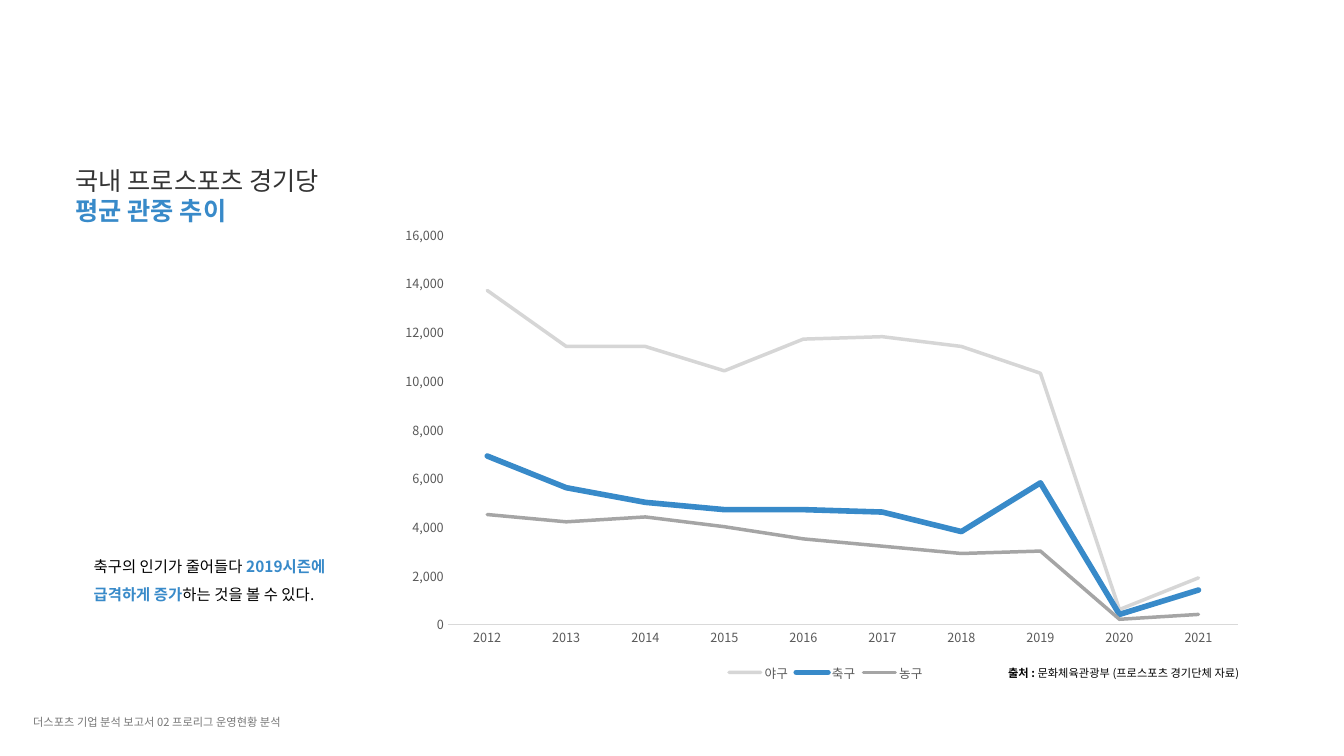
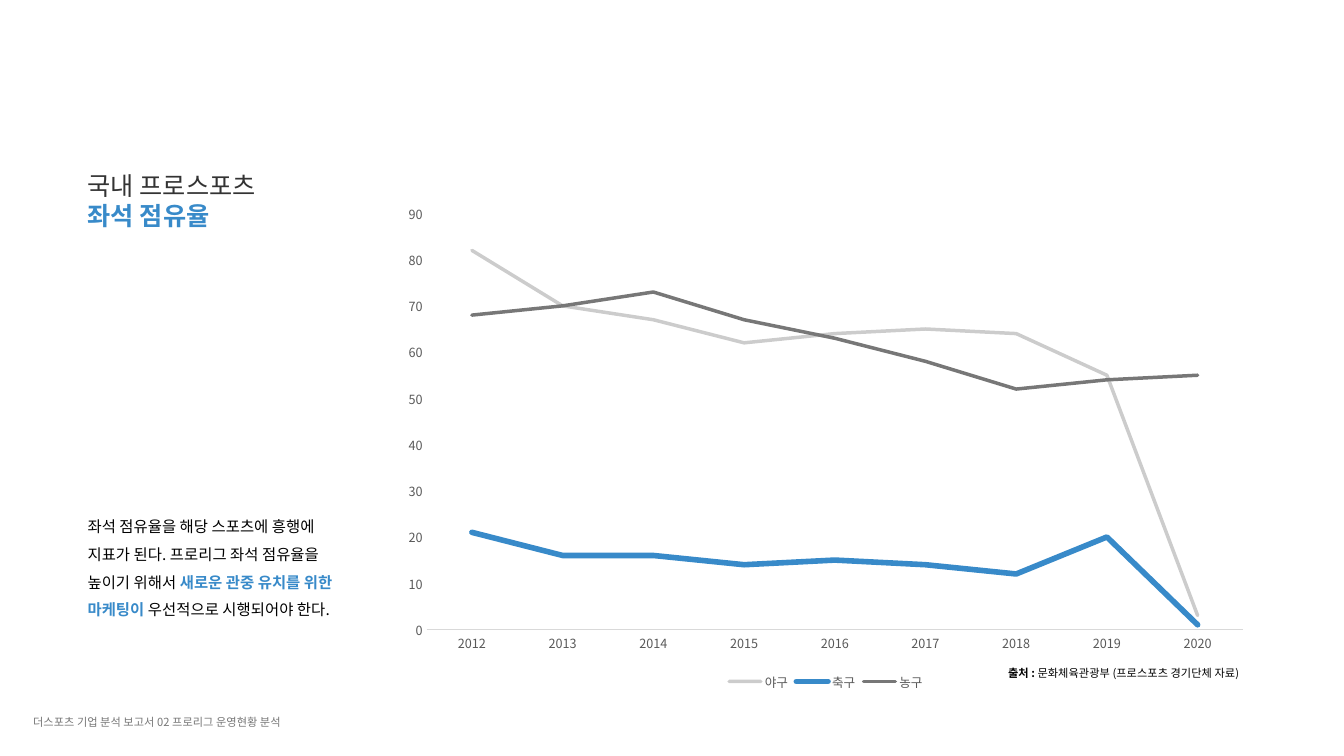
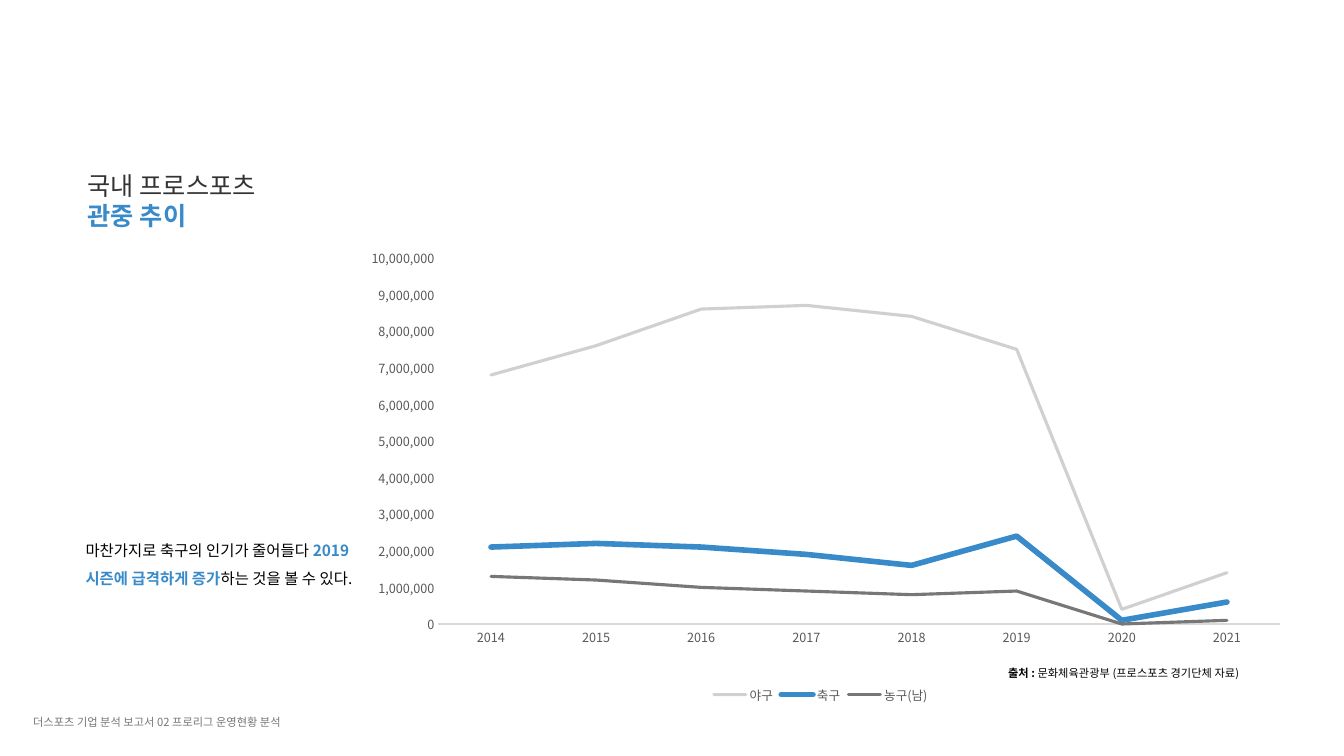
from dataclasses import dataclass

from lxml import etree
from pptx import Presentation
from pptx import util as u
from pptx.chart import data
from pptx.dml.color import RGBColor
from pptx.enum import chart as ch, text
from pptx.oxml import ns


@dataclass(frozen=True)
class Theme:
    heading_font: str = "Arial"
    body_font: str = "Noto Sans CJK KR"
    footer_font: str = "Noto Sans CJK JP"
    accent: str = "388AC9"
    heading: str = "333333"
    ink: str = "000000"
    muted: str = "777777"
    axis_text: str = "595959"
    axis_line: str = "D9D9D9"
    heading_size: float = 18
    body_size: float = 11
    axis_size: float = 9
    small_size: float = 8
    accent_width: float = 4


THEME = Theme()
LEFT, JUSTIFY = text.PP_ALIGN.LEFT, text.PP_ALIGN.JUSTIFY


def add_text(paragraph, words, *, font=THEME.body_font, size=THEME.body_size,
             color=THEME.ink, bold=False):
    """Append one formatted run to a paragraph."""
    run = paragraph.add_run()
    run.text = words
    run.font.name = font
    run.font.size = u.Pt(size)
    run.font.bold = bold
    run.font.color.rgb = RGBColor.from_string(color)


def format_font(font, size, color):
    font.name = THEME.body_font
    font.size = u.Pt(size)
    font.color.rgb = RGBColor.from_string(color)


class Deck:
    """The current slide and its elements; boxes are percent shares of the slide."""

    def __init__(self):
        self.presentation = Presentation()
        self.presentation.slide_width = u.Inches(13.33)
        self.presentation.slide_height = u.Inches(7.5)
        self.slide = None

    def box(self, left, top, width, height):
        across = self.presentation.slide_width / 100
        down = self.presentation.slide_height / 100
        return [int(n) for n in (left * across, top * down, width * across, height * down)]

    def new_slide(self):
        self.slide = self.presentation.slides.add_slide(self.presentation.slide_layouts[5])

    def title(self, left, top, first_line, second_line):
        shape = self.slide.shapes.title
        shape.left, shape.top, shape.width, shape.height = self.box(left, top, 50, 9.47)
        frame = shape.text_frame
        frame.auto_size = text.MSO_AUTO_SIZE.NONE
        frame.vertical_anchor = text.MSO_ANCHOR.TOP
        lines = ((first_line, THEME.heading, False), (second_line, THEME.accent, True))
        for paragraph, (words, color, bold) in zip(
                (frame.paragraphs[0], frame.add_paragraph()), lines):
            paragraph.alignment = LEFT
            add_text(paragraph, words, font=THEME.heading_font,
                     size=THEME.heading_size, color=color, bold=bold)

    def text_box(self, box, runs, alignment=LEFT, spacing=1.0):
        """Each run is its words and a dict of format keywords."""
        frame = self.slide.shapes.add_textbox(*self.box(*box)).text_frame
        frame.word_wrap = True
        paragraph = frame.paragraphs[0]
        paragraph.alignment = alignment
        paragraph.line_spacing = spacing
        for words, style in runs:
            add_text(paragraph, words, **style)

    def comment(self, left, top, height, before, strong, after):
        self.text_box((left, top, 21.46, height),
                      [(before, {}), (strong, {"color": THEME.accent, "bold": True}),
                       (after, {})], spacing=1.5)

    def source_and_footer(self):
        small = {"size": THEME.small_size}
        self.text_box((74.27, 87.47, 20.11, 3.2),
                      [("출처 : ", {**small, "bold": True}),
                       ("문화체육관광부 (프로스포츠 경기단체 자료)", small)], JUSTIFY)
        self.text_box((1.73, 94, 51.76, 3.2),
                      [("더스포츠 기업 분석 보고서 02 프로리그 운영현황 분석",
                        {**small, "font": THEME.footer_font, "color": THEME.muted})])

    def line_chart(self, box, years, series, colors, width, alpha, top_value, step,
                   number_format="General", plot_area=None):
        chart_data = data.CategoryChartData(number_format=number_format)
        chart_data.categories = [str(year) for year in years]
        for name, values in series.items():
            chart_data.add_series(name, values)
        chart = self.slide.shapes.add_chart(
            ch.XL_CHART_TYPE.LINE, *self.box(*box), chart_data).chart
        chart.has_title = False
        format_font(chart.font, 10, THEME.ink)

        # Legend
        chart.has_legend = True
        chart.legend.position = ch.XL_LEGEND_POSITION.BOTTOM
        chart.legend.include_in_layout = False
        format_font(chart.legend.font, THEME.axis_size, THEME.axis_text)

        # Axes
        values_axis, years_axis = chart.value_axis, chart.category_axis
        for axis in (values_axis, years_axis):
            axis.has_major_gridlines = False
            axis.major_tick_mark = axis.minor_tick_mark = ch.XL_TICK_MARK.NONE
            format_font(axis.tick_labels.font, THEME.axis_size, THEME.axis_text)
        values_axis.minimum_scale, values_axis.maximum_scale = 0, top_value
        values_axis.major_unit = step
        values_axis.tick_labels.number_format = number_format
        values_axis.tick_labels.number_format_is_linked = False
        values_axis.format.line.fill.background()
        years_axis.format.line.width = u.Pt(0.75)
        years_axis.format.line.color.rgb = RGBColor.from_string(THEME.axis_line)

        # Series lines, the first one see-through
        chart.plots[0].vary_by_categories = False
        for line, color in zip(chart.plots[0].series, colors):
            line.smooth = False
            line.format.line.color.rgb = RGBColor.from_string(color)
            line.format.line.width = u.Pt(THEME.accent_width if color == THEME.accent else width)
        outlines = [element.find(ns.qn("c:spPr")).find(ns.qn("a:ln"))
                    for element in chart.element.iter(ns.qn("c:ser"))]
        for outline in outlines:
            outline.set("cap", "rnd")
        first_color = next(outlines[0].iter(ns.qn("a:srgbClr")))
        etree.SubElement(first_color, ns.qn("a:alpha"), val=str(alpha * 1000))
        if plot_area:
            self.place_plot(chart, plot_area)

    @staticmethod
    def place_plot(chart, shares):
        """Fix the inner plot area as shares of the chart."""
        area = next(chart.element.iter(ns.qn("c:plotArea")))
        layout = area.find(ns.qn("c:layout"))
        if layout is None:
            layout = etree.Element(ns.qn("c:layout"))
            area.insert(0, layout)
        manual = etree.SubElement(layout, ns.qn("c:manualLayout"))
        settings = [("layoutTarget", "inner"), ("xMode", "edge"), ("yMode", "edge"),
                    *zip("xywh", shares)]
        for tag, value in settings:
            etree.SubElement(manual, ns.qn("c:" + tag), val=str(value))


def main():
    deck = Deck()

    # Average attendance per match
    deck.new_slide()
    deck.line_chart(
        (29.48, 28.53, 63.92, 62.13), range(2012, 2022),
        {"야구": (13700, 11400, 11400, 10400, 11700, 11800, 11400, 10300, 600, 1900),
         "축구": (6900, 5600, 5000, 4700, 4700, 4600, 3800, 5800, 400, 1400),
         "농구": (4500, 4200, 4400, 4000, 3500, 3200, 2900, 3000, 200, 400)},
        ("262626", THEME.accent, "A5A5A5"), width=2.5, alpha=18,
        top_value=16000, step=2000, number_format="#,##0",
        plot_area=(0.06, 0.04, 0.92, 0.83))
    deck.title(4.88, 21.2, "국내 프로스포츠 경기당", "평균 관중 추이")
    deck.comment(6.23, 71.87, 15.73, "축구의 인기가 줄어들다 ",
                 "2019시즌에 급격하게 증가", "하는 것을 볼 수 있다.")
    deck.source_and_footer()

    # Seat occupancy
    deck.new_slide()
    deck.line_chart(
        (29.11, 25.73, 64.67, 66.13), range(2012, 2021),
        {"야구": (82, 70, 67, 62, 64, 65, 64, 55, 3),
         "축구": (21, 16, 16, 14, 15, 14, 12, 20, 1),
         "농구": (68, 70, 73, 67, 63, 58, 52, 54, 55)},
        (THEME.ink, THEME.accent, THEME.muted), width=2.5, alpha=20,
        top_value=90, step=10)
    deck.title(5.78, 21.87, "국내 프로스포츠", "좌석 점유율")
    deck.comment(5.78, 66.53, 23.07,
                 "좌석 점유율을 해당 스포츠에 흥행에 지표가 된다. "
                 "프로리그 좌석 점유율을 높이기 위해서 ",
                 "새로운 관중 유치를 위한 마케팅이 ", "우선적으로 시행되어야 한다.")
    deck.source_and_footer()

    # Total attendance
    deck.new_slide()
    deck.title(5.78, 21.87, "국내 프로스포츠", "관중 추이")
    deck.line_chart(
        (25.51, 32.27, 71.12, 61.33), range(2014, 2022),
        {"야구": (6800000, 7600000, 8600000, 8700000, 8400000, 7500000, 400000, 1400000),
         "축구": (2100000, 2200000, 2100000, 1900000, 1600000, 2400000, 100000, 600000),
         "농구(남)": (1300000, 1200000, 1000000, 900000, 800000, 900000, 0, 100000)},
        ("111722", THEME.accent, THEME.muted), width=2.25, alpha=20,
        top_value=10000000, step=1000000, number_format="#,##0",
        plot_area=(0.1, 0.03, 0.88, 0.79))
    deck.comment(5.63, 69.73, 19.33, "마찬가지로 축구의 인기가 줄어들다 ",
                 "2019시즌에 급격하게 증가", "하는 것을 볼 수 있다.")
    deck.source_and_footer()

    deck.presentation.save("out.pptx")


if __name__ == "__main__":
    main()
